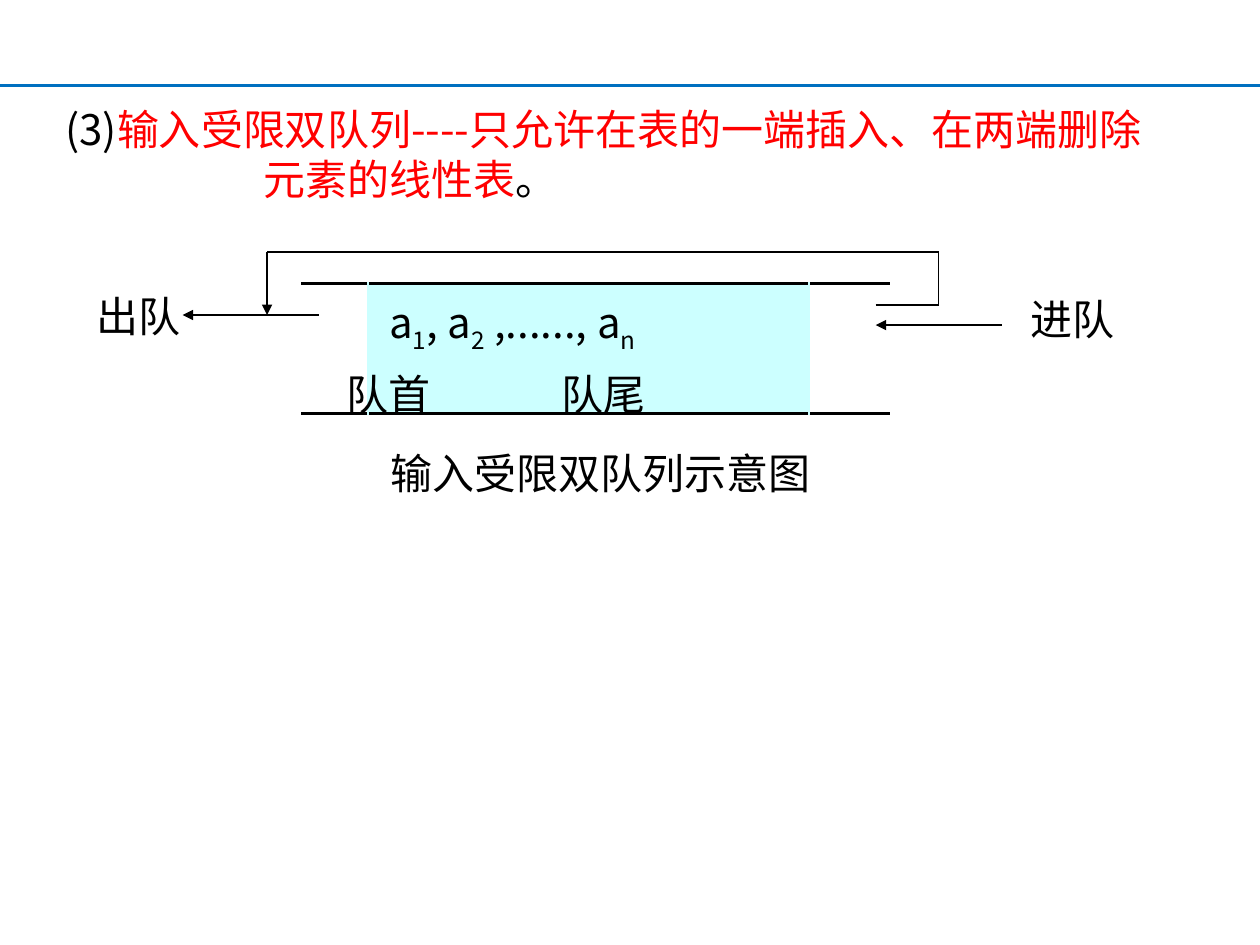
from dataclasses import dataclass
from typing import NamedTuple

from lxml.etree import SubElement
from pptx import Presentation
from pptx.dml.color import RGBColor
from pptx.enum.shapes import MSO_CONNECTOR as Connector
from pptx.enum.text import MSO_AUTO_SIZE as AutoSize
from pptx.oxml import parse_xml
from pptx.oxml.ns import nsdecls, qn
from pptx.util import Inches, Pt


@dataclass(frozen=True)
class Theme:
    font: str = "Noto Sans CJK SC"
    size: float = 24
    ink: str = "000000"
    accent: str = "FF0000"
    rule: str = "0070C0"
    cell: str = "CCFFFF"
    paper: str = "FFFFFF"
    thin: float = 0.75
    cell_line: float = 1
    header_line: float = 1.5
    thick: float = 2.25


class Span(NamedTuple):
    text: str
    color: str = Theme.ink
    baseline: int = 0


class Label(NamedTuple):
    left: float
    top: float
    width: float
    height: float
    text: str
    wrap: bool = True
    line_spacing: float | None = None
    tab: float | None = None


class Line(NamedTuple):
    start: tuple[float, float]
    end: tuple[float, float]
    arrow: bool = False
    color: str = Theme.ink
    width: float = Theme.thin


theme = Theme()
QUEUE_TOP = 2.25
QUEUE_HEIGHT = 1.03
QUEUE_COLUMNS = (0.53, 3.5, 0.64)
LOOP_LEFT, LOOP_RIGHT, LOOP_TOP = 2.12, 7.45, 2
OUT_Y, IN_X = 2.5, 6.95

LINES = (
    Line((0, 0.68), (10, 0.68), color=theme.rule, width=theme.header_line),
    Line((7.95, 2.58), (IN_X, 2.58), arrow=True),
    Line((LOOP_LEFT, LOOP_TOP), (LOOP_RIGHT, LOOP_TOP)),
    Line((IN_X, 2.42), (LOOP_RIGHT, 2.42)),
    Line((LOOP_RIGHT, LOOP_TOP), (LOOP_RIGHT, 2.42)),
    Line((2.53, OUT_Y), (1.45, OUT_Y), arrow=True),
    Line((LOOP_LEFT, LOOP_TOP), (LOOP_LEFT, OUT_Y), arrow=True),
)
LABELS = (
    Label(3, 3.5, 3.83, 0.5, "输入受限双队列示意图"),
    Label(8.08, 2.28, 0.87, 0.5, "进队", wrap=False),
    Label(0.67, 2.26, 0.95, 0.5, "出队"),
    Label(2.65, 2.92, 4.18, 0.46, "队首\t队尾", line_spacing=0.9, tab=1.71),
)
HEADING = (
    (Span("(3)"), Span("输入受限双队列----只允许在表的一端插入、在两端删除", theme.accent)),
    (Span("元素的线性表", theme.accent), Span("。")),
)
ELEMENTS = (
    Span("a"), Span("1", baseline=-25000),
    Span(", a"), Span("2", baseline=-25000),
    Span(" ,......, a"), Span("n", baseline=-25000),
)


def add_span(para, text: str, *, color: str = theme.ink, baseline: int = 0) -> None:
    span = para.add_run()
    span.text = text
    span.font.size = Pt(theme.size)
    span.font.name = theme.font
    span.font.color.rgb = RGBColor.from_string(color)
    properties = span.font._element
    SubElement(properties, qn("a:ea")).set("typeface", theme.font)
    if baseline:
        properties.set("baseline", str(baseline))


def add_spans(para, spans: tuple[Span, ...]) -> None:
    for span in spans:
        add_span(para, span.text, color=span.color, baseline=span.baseline)


def add_box(page, left: float, top: float, width: float, height: float, wrap: bool = True):
    box = page.shapes.add_textbox(Inches(left), Inches(top), Inches(width), Inches(height))
    frame = box.text_frame
    frame.word_wrap = wrap
    frame.auto_size = AutoSize.SHAPE_TO_FIT_TEXT
    return frame


def add_label(page, label: Label) -> None:
    frame = add_box(page, label.left, label.top, label.width, label.height, label.wrap)
    para = frame.paragraphs[0]
    if label.line_spacing:
        para.line_spacing = label.line_spacing
    if label.tab:
        tabs = SubElement(para._p.get_or_add_pPr(), qn("a:tabLst"))
        SubElement(tabs, qn("a:tab"), pos=str(Inches(label.tab)), algn="l")
    add_span(para, label.text)


def add_line(page, line: Line) -> None:
    connector = page.shapes.add_connector(
        Connector.STRAIGHT, *(Inches(value) for value in line.start + line.end))
    connector.line.color.rgb = RGBColor.from_string(line.color)
    connector.line.width = Pt(line.width)
    if line.arrow:
        SubElement(connector.line._get_or_add_ln(), qn("a:tailEnd"), type="triangle")
    SubElement(connector._element.spPr, qn("a:effectLst"))


def set_borders(cell, has_left: bool, has_right: bool) -> None:
    side = (theme.cell, theme.cell_line)
    edge = (theme.ink, theme.thick)
    borders = {"L": side if has_left else None, "R": side if has_right else None,
               "T": edge, "B": edge}
    properties = cell._tc.get_or_add_tcPr()
    for index, (name, border) in enumerate(borders.items()):
        if border:
            color, width = border
            paint = f'<a:solidFill><a:srgbClr val="{color}"/></a:solidFill>'
        else:
            width, paint = 0, "<a:noFill/>"
        properties.insert(index, parse_xml(
            f'<a:ln{name} {nsdecls("a")} w="{Pt(width)}">{paint}</a:ln{name}>'))


def add_queue(page) -> None:
    table = page.shapes.add_table(
        1, len(QUEUE_COLUMNS), Inches(2.39), Inches(QUEUE_TOP),
        Inches(sum(QUEUE_COLUMNS)), Inches(QUEUE_HEIGHT)).table
    table.first_row = False
    table.horz_banding = False
    last = len(QUEUE_COLUMNS) - 1
    for index, width in enumerate(QUEUE_COLUMNS):
        table.columns[index].width = Inches(width)
        cell = table.cell(0, index)
        cell.fill.solid()
        cell.fill.fore_color.rgb = RGBColor.from_string(
            theme.cell if 0 < index < last else theme.paper)
        set_borders(cell, has_left=index > 0, has_right=index < last)
    middle = table.cell(0, 1)
    middle.margin_left = Inches(0.17)
    add_spans(middle.text_frame.paragraphs[0], ELEMENTS)


def add_heading(page) -> None:
    frame = add_box(page, 0.42, 0.77, 9.08, 0.91)
    first, second = frame.paragraphs[0], frame.add_paragraph()
    second._p.get_or_add_pPr().set("marL", str(Inches(1.57)))
    for para, spans in zip((first, second), HEADING):
        add_spans(para, spans)


def main() -> None:
    deck = Presentation()
    deck.slide_width, deck.slide_height = Inches(10), Inches(7.5)
    page = deck.slides.add_slide(deck.slide_layouts[6])
    add_queue(page)
    for line in LINES:
        add_line(page, line)
    for label in LABELS:
        add_label(page, label)
    add_heading(page)
    deck.save("out.pptx")


if __name__ == "__main__":
    main()
